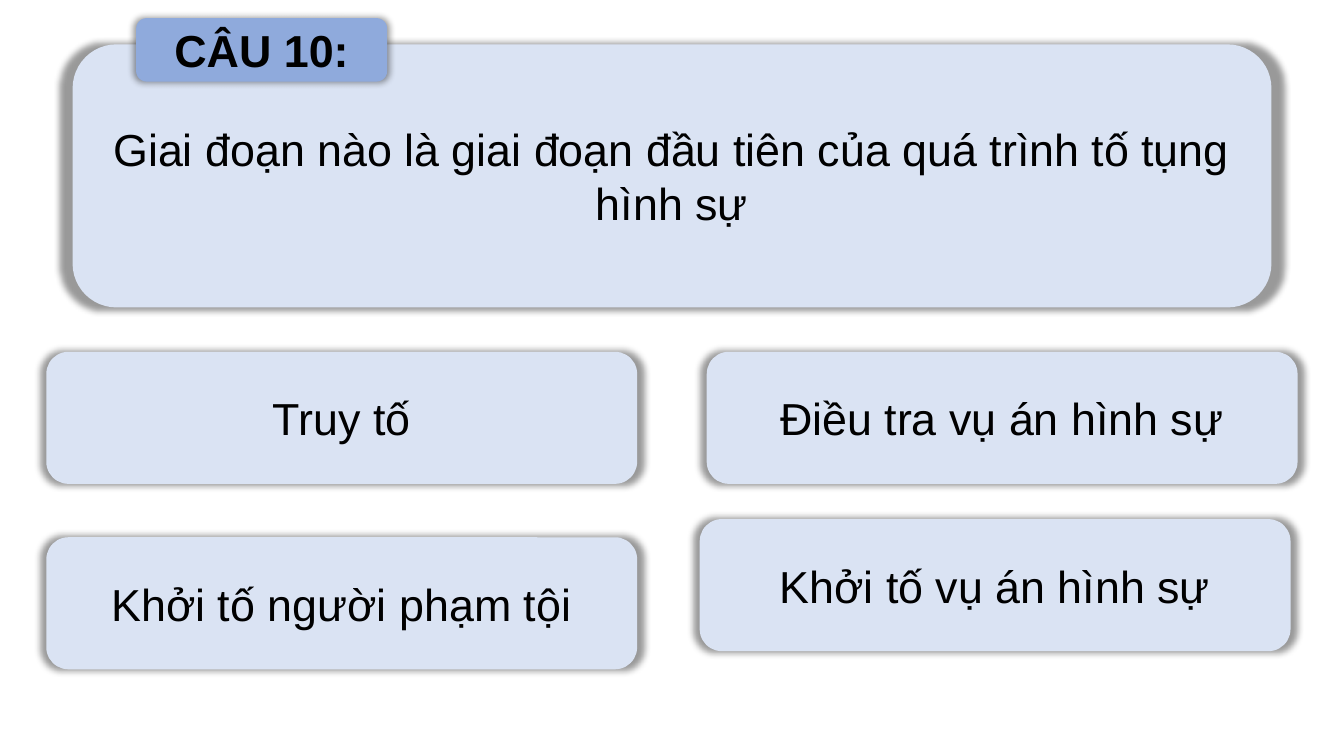
from dataclasses import dataclass

from lxml import etree
from pptx import Presentation
from pptx.dml.color import RGBColor
from pptx.enum.shapes import MSO_SHAPE
from pptx.enum.text import MSO_ANCHOR, PP_ALIGN
from pptx.oxml.ns import qn
from pptx.util import Inches, Pt


@dataclass(frozen=True)
class Theme:
    panel: str = "DAE3F3"
    badge: str = "8FAADC"
    ink: str = "000000"
    shadow: str = "000000"
    font: str = "Arial"
    size: int = 32


THEME = Theme()


def add_glow_shadow(shape):
    """Centred soft shadow, slightly larger than the shape."""
    shape.shadow.inherit = False
    effects = shape._element.spPr.find(qn("a:effectLst"))
    shadow = etree.SubElement(
        effects, qn("a:outerShdw"), blurRad=str(Pt(5)), sx="102000",
        sy="102000", algn="ctr", rotWithShape="0")
    color = etree.SubElement(shadow, qn("a:srgbClr"), val=THEME.shadow)
    etree.SubElement(color, qn("a:alpha"), val="40000")


def write_text(shape, text, bold=False, color=THEME.ink, size=THEME.size):
    frame = shape.text_frame
    frame.word_wrap = True
    frame.vertical_anchor = MSO_ANCHOR.MIDDLE
    para = frame.paragraphs[0]
    para.alignment = PP_ALIGN.CENTER
    span = para.add_run()
    span.text = text
    span.font.name = THEME.font
    span.font.size = Pt(size)
    span.font.bold = bold
    span.font.color.rgb = RGBColor.from_string(color)


def add_card(page, box, text, fill=THEME.panel, **text_format):
    card = page.shapes.add_shape(
        MSO_SHAPE.ROUNDED_RECTANGLE, *(Inches(length) for length in box))
    card.fill.solid()
    card.fill.fore_color.rgb = RGBColor.from_string(fill)
    card.line.fill.background()
    add_glow_shadow(card)
    write_text(card, text, **text_format)


def add_question(page, box, number, question):
    """Question panel with its number badge overlapping the top edge."""
    left, top, _, _ = box
    add_card(page, box, question)
    add_card(page, (left + 0.63, top - 0.26, 2.49, 0.63), number,
             fill=THEME.badge, bold=True)


def add_answers(page, box, answers):
    """Answer cards, each offset from the top left of the box."""
    left, top, width, height = box
    card_width, card_height = 5.86, 1.31
    right, bottom = width - card_width, height - card_height
    # The last card sits a little up and to the left of the grid
    offsets = [(0, 0), (right, 0), (0, bottom), (right - 0.07, bottom - 0.18)]
    for (across, down), answer in zip(offsets, answers):
        add_card(page, (left + across, top + down, card_width, card_height),
                 answer)


def main():
    deck = Presentation()
    deck.slide_width, deck.slide_height = Inches(13.33), Inches(7.5)
    page = deck.slides.add_slide(deck.slide_layouts[6])

    add_question(
        page, (0.72, 0.44, 11.89, 2.61), "CÂU 10:",
        "Giai đoạn nào là giai đoạn đầu tiên của quá trình tố tụng hình sự")
    add_answers(
        page, (0.46, 3.49, 12.41, 3.15),
        ["Truy tố", "Điều tra vụ án hình sự",
         "Khởi tố người phạm tội", "Khởi tố vụ án hình sự"])

    deck.save("out.pptx")


if __name__ == "__main__":
    main()
